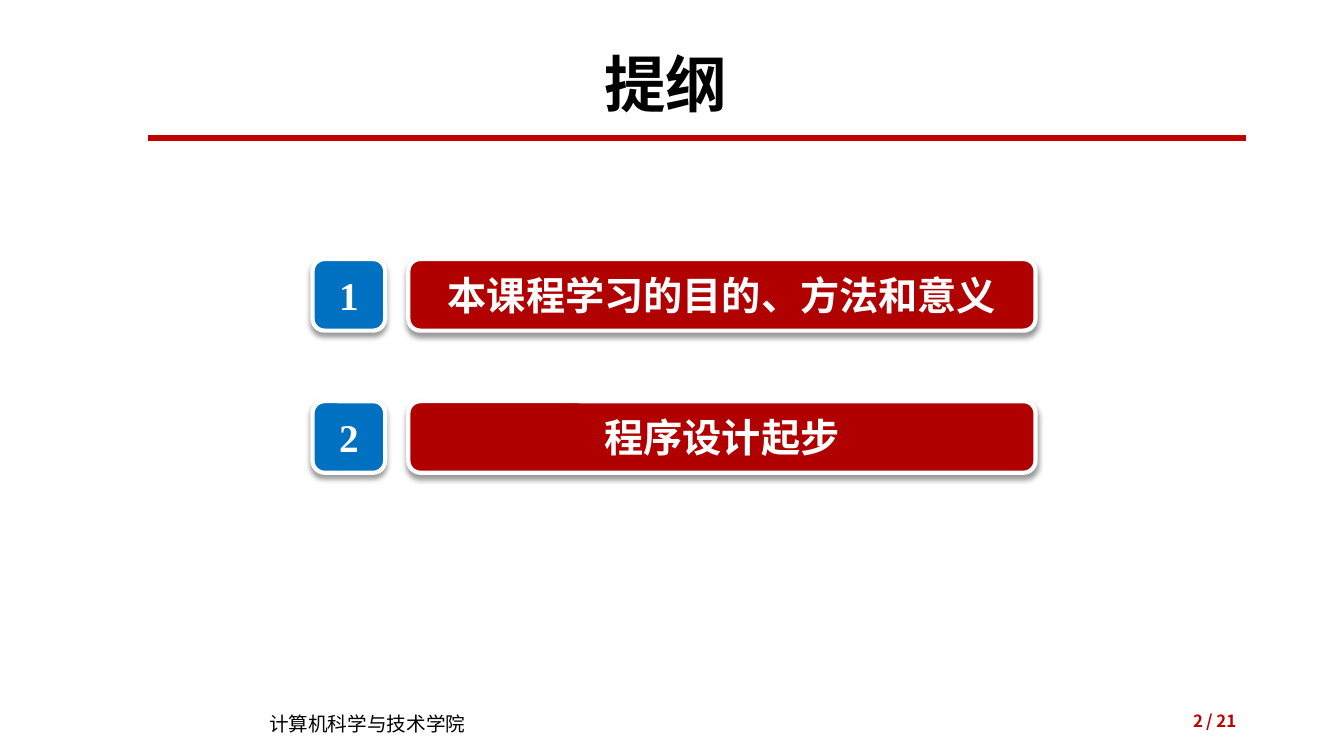
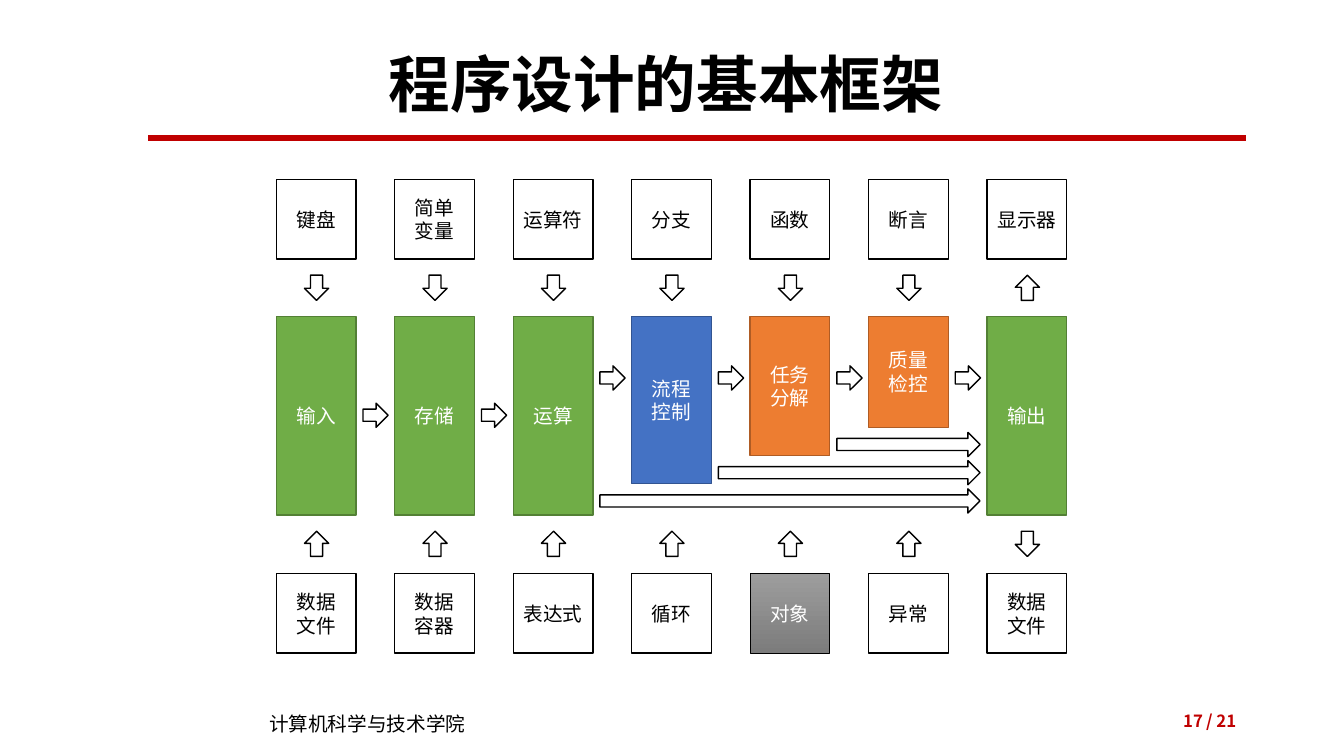
from lxml import etree
from pptx import Presentation
from pptx.dml.color import RGBColor
from pptx.enum.shapes import MSO_CONNECTOR, MSO_SHAPE
from pptx.enum.text import MSO_ANCHOR, PP_ALIGN
from pptx.oxml import parse_xml
from pptx.oxml.ns import nsdecls, qn
from pptx.util import Inches, Pt

LEFT, CENTER, RIGHT = PP_ALIGN.LEFT, PP_ALIGN.CENTER, PP_ALIGN.RIGHT
TOP, MIDDLE = MSO_ANCHOR.TOP, MSO_ANCHOR.MIDDLE
RECTANGLE, ROUNDED = MSO_SHAPE.RECTANGLE, MSO_SHAPE.ROUNDED_RECTANGLE
DOWN, UP, ARROW_RIGHT = MSO_SHAPE.DOWN_ARROW, MSO_SHAPE.UP_ARROW, MSO_SHAPE.RIGHT_ARROW

CJK = "Noto Sans CJK SC"
BLACK, WHITE, RED = "000000", "FFFFFF", "C00000"
GREEN, BLUE, ORANGE = ("70AD47", "538035"), ("4472C4", "325491"), ("ED7D31", "AF5C24")

TITLE_FORMAT = {"name": "Calibri", "size": Pt(44), "bold": True}
FOOTER_FORMAT = {"name": CJK, "size": Pt(14)}
PAGE_FORMAT = {"name": CJK, "size": Pt(12), "bold": True}
BOX_FORMAT = {"name": CJK, "size": Pt(14)}
NUMBER_FORMAT = {"name": "Times New Roman", "size": Pt(28), "bold": True}
TOPIC_FORMAT = {"name": "Arial", "size": Pt(28), "bold": True}


def color(value):
    return RGBColor.from_string(value)


def write(shape, text, font_format, text_color, align=CENTER, anchor=MIDDLE):
    """Fill a shape with formatted text, one paragraph per line."""
    frame = shape.text_frame
    frame.text = text
    frame.word_wrap = True
    frame.vertical_anchor = anchor
    for paragraph in frame.paragraphs:
        paragraph.alignment = align
        for run in paragraph.runs:
            for name, value in font_format.items():
                setattr(run.font, name, value)
            run.font.color.rgb = color(text_color)
            east_asian = etree.SubElement(run.font._element, qn("a:ea"))
            east_asian.set("typeface", CJK)


def add_box(slide, kind, box, fill, line, width=1):
    """Add a filled and outlined preset shape without shadow."""
    shape = slide.shapes.add_shape(kind, *map(Inches, box))
    shape.shadow.inherit = False
    shape.fill.solid()
    shape.fill.fore_color.rgb = color(fill)
    shape.line.color.rgb = color(line)
    shape.line.width = Pt(width)
    return shape


presentation = Presentation()
presentation.slide_width = Inches(13.33)
presentation.slide_height = Inches(7.5)

# Shared parts: title, red rule, footer and page number
slides = []
for title_text, page in [("提纲", "2"), ("程序设计的基本框架", "17")]:
    slide = presentation.slides.add_slide(presentation.slide_layouts[5])
    slides.append(slide)
    title = slide.shapes.title
    title.left, title.top = Inches(0.85), Inches(0.4)
    title.width, title.height = Inches(11.51), Inches(0.94)
    write(title, title_text, TITLE_FORMAT, BLACK)
    title.text_frame.paragraphs[0].line_spacing = 0.9

    rule = slide.shapes.add_connector(
        MSO_CONNECTOR.STRAIGHT, Inches(1.47), Inches(1.37), Inches(12.36), Inches(1.37))
    rule.line.color.rgb = color(RED)
    rule.line.width = Pt(4.5)
    etree.SubElement(rule._element.spPr, qn("a:effectLst"))

    for text, box, font_format, text_color, align, anchor in [
        ("计算机科学与技术学院", (2.57, 7.01, 2.92, 0.34), FOOTER_FORMAT, BLACK, LEFT, TOP),
        ("/ 21", (11.61, 6.95, 0.75, 0.4), PAGE_FORMAT, RED, RIGHT, MIDDLE),
        (page, (9.42, 6.95, 2.61, 0.4), PAGE_FORMAT, RED, RIGHT, MIDDLE),
    ]:
        textbox = slide.shapes.add_textbox(*map(Inches, box))
        write(textbox, text, font_format, text_color, align, anchor)

outline_slide, framework_slide = slides

# Outline: numbered topics with a soft shadow
topics = ["本课程学习的目的、方法和意义", "程序设计起步"]
for index, topic in enumerate(topics):
    top = 2.57 + index * 1.41
    for text, left, width, fill, font_format in [
        (str(index + 1), 3.1, 0.72, "0070C0", NUMBER_FORMAT),
        (topic, 4.05, 6.22, "B00000", TOPIC_FORMAT),
    ]:
        shape = add_box(outline_slide, ROUNDED, (left, top, width, 0.71), fill, WHITE, 3)
        write(shape, text, font_format, WHITE)
        effects = shape._element.spPr.find(qn("a:effectLst"))
        effects.append(parse_xml(
            f'<a:outerShdw {nsdecls("a")} blurRad="{Pt(4)}" dist="{Pt(3)}" dir="5400000" '
            'rotWithShape="0"><a:srgbClr val="000000"><a:alpha val="40000"/>'
            '</a:srgbClr></a:outerShdw>'))

# Framework: one column per step (upper box, step, lower box, step height, colours)
columns = [
    ("键盘", "输入", "数据\n文件", 1.97, GREEN),
    ("简单\n变量", "存储", "数据\n容器", 1.97, GREEN),
    ("运算符", "运算", "表达式", 1.97, GREEN),
    ("分支", "流程\n控制", "循环", 1.66, BLUE),
    ("函数", "任务\n分解", "对象", 1.38, ORANGE),
    ("断言", "质量\n检控", "异常", 1.1, ORANGE),
    ("显示器", "输出", "数据\n文件", 1.97, GREEN),
]
first_left, last_left, size = 2.74, 9.79, 0.79
pitch = (last_left - first_left) / (len(columns) - 1)
arrow_length, arrow_width, arrow_gap = 0.25, 0.24, 0.07
last_column = len(columns) - 1

for index, (upper, step, lower, height, step_colors) in enumerate(columns):
    left = first_left + index * pitch
    for text, top, box_height, colors, text_color in [
        (upper, 1.78, size, (WHITE, BLACK), BLACK),
        (step, 3.14, height, step_colors, WHITE),
        (lower, 5.69, size, (WHITE, BLACK), BLACK),
    ]:
        shape = add_box(framework_slide, RECTANGLE, (left, top, size, box_height), *colors)
        if text == "对象":
            text_color = WHITE
            shape.line.width = Pt(0.5)
            shape.fill.gradient()
            shape.fill.gradient_angle = 270
            for stop, stop_color in zip(shape.fill.gradient_stops, ["9D9D9D", "7C7C7C"]):
                stop.color.rgb = color(stop_color)
        write(shape, text, BOX_FORMAT, text_color)
        shape.text_frame.margin_left = shape.text_frame.margin_right = 0

    # Arrows point into each step, but out of the last one
    directions = (UP, DOWN) if index == last_column else (DOWN, UP)
    for direction, top in zip(directions, (2.73, 5.27)):
        add_box(framework_slide, direction,
                (left + 0.28, top, arrow_width, arrow_length), WHITE, BLACK)

    # Short arrows lead to the next step
    if index < last_column:
        top = 4 if index < 2 else 3.63
        add_box(framework_slide, ARROW_RIGHT,
                (left + size + arrow_gap, top, arrow_length, arrow_width), WHITE, BLACK)

# Long arrows skip straight to the output
for order, index in enumerate((2, 3, 4)):
    start = first_left + index * pitch + size + arrow_gap
    add_box(framework_slide, ARROW_RIGHT,
            (start, 4.85 - order * 0.28, last_left - arrow_gap - start, arrow_width),
            WHITE, BLACK)

presentation.save("out.pptx")
